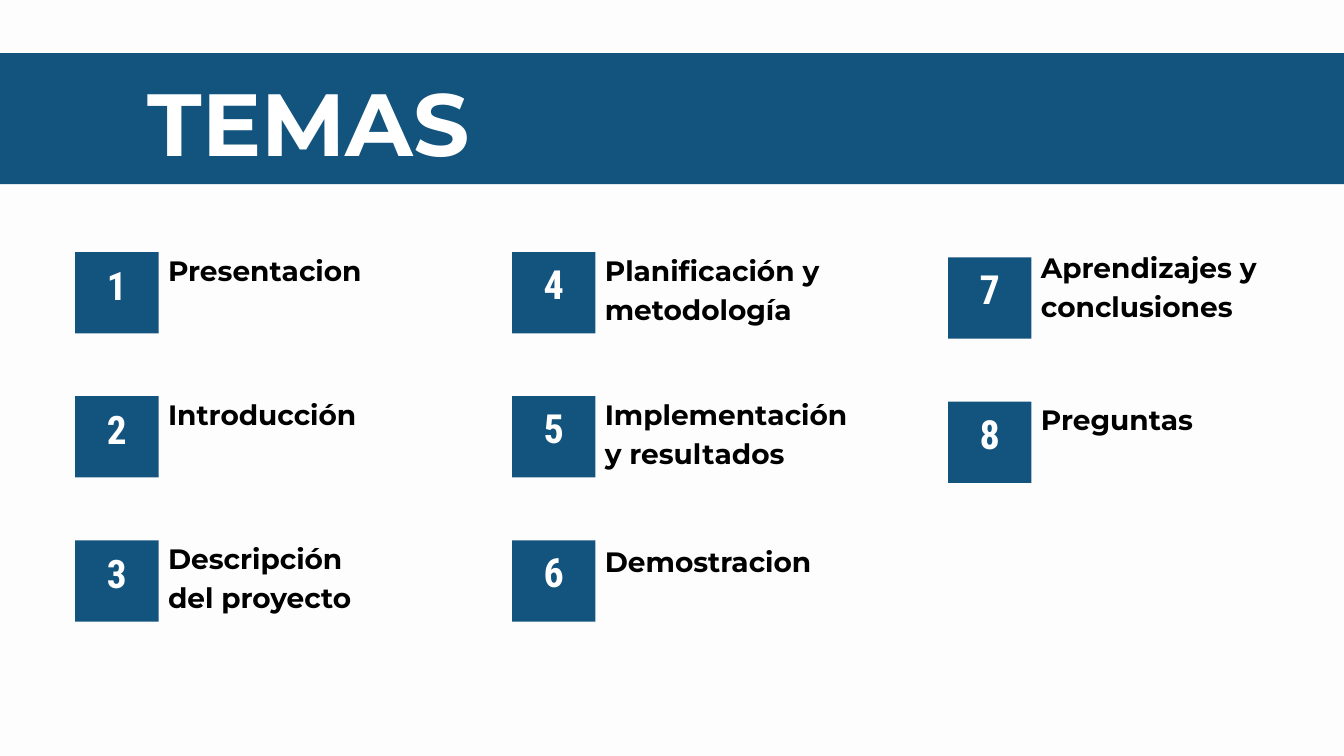
from dataclasses import dataclass

from pptx import Presentation
from pptx.dml.color import RGBColor
from pptx.enum.shapes import MSO_SHAPE
from pptx.enum.text import MSO_ANCHOR, MSO_AUTO_SIZE, PP_ALIGN
from pptx.util import Inches, Pt

RECTANGLE = MSO_SHAPE.RECTANGLE
TOP, MIDDLE = MSO_ANCHOR.TOP, MSO_ANCHOR.MIDDLE
LEFT, CENTER = PP_ALIGN.LEFT, PP_ALIGN.CENTER
NO_AUTOFIT = MSO_AUTO_SIZE.NONE


@dataclass(frozen=True)
class Theme:
    paper: RGBColor = RGBColor(0xFD, 0xFD, 0xFD)
    blue: RGBColor = RGBColor(0x13, 0x54, 0x7E)
    white: RGBColor = RGBColor(0xFF, 0xFF, 0xFF)
    black: RGBColor = RGBColor(0, 0, 0)
    heading_font: str = "Montserrat"
    number_font: str = "Roboto Condensed"
    title_size: float = 94.5
    label_size: float = 30
    label_spacing: float = 41.9


theme = Theme()


def write_text(shape, text, *, size, spacing, color, font=theme.heading_font,
               align=LEFT, anchor=TOP, inset=0):
    frame = shape.text_frame
    frame.word_wrap = True
    frame.auto_size = NO_AUTOFIT
    frame.vertical_anchor = anchor
    frame.margin_left = frame.margin_right = Inches(inset)
    frame.margin_top = frame.margin_bottom = Inches(inset)
    frame.text = text
    paragraph = frame.paragraphs[0]
    paragraph.alignment = align
    paragraph.line_spacing = Pt(spacing)
    paragraph.space_before = Pt(0)
    run_font = paragraph.runs[0].font
    run_font.name = font
    run_font.size = Pt(size)
    run_font.bold = True
    run_font.color.rgb = color


def add_block(left, top, width, height):
    block = slide.shapes.add_shape(
        RECTANGLE, Inches(left), Inches(top), Inches(width), Inches(height))
    block.shadow.inherit = False
    block.fill.solid()
    block.fill.fore_color.rgb = theme.blue
    block.line.fill.background()
    return block


deck = Presentation()
deck.slide_width, deck.slide_height = Inches(20), Inches(11.25)
slide = deck.slides.add_slide(deck.slide_layouts[5])
slide.background.fill.solid()
slide.background.fill.fore_color.rgb = theme.paper

heading = slide.shapes.title
heading.left, heading.top = Inches(2.2), Inches(0.75)
heading.width, heading.height = Inches(8.47), Inches(1.83)
write_text(heading, "TEMAS", size=theme.title_size, spacing=132.3, color=theme.white)
band = add_block(0, 0.79, 20, 1.95)
heading.element.addprevious(band.element)

TILE_WIDTH, TILE_HEIGHT = 1.24, 1.21
ROW_PITCH = 2.145
LABEL_OFFSET = 1.38

columns = [
    (1.12, 3.75, 42, 1.56, [
        ("Presentacion", 3.69, 3.38, 0.56),
        ("Introducción", 5.83, 3.38, 0.56),
        ("Descripción del proyecto", 7.98, 3.38, 1.15)]),
    (7.62, 3.75, 43, 1.6, [
        ("Planificación y metodología", 3.69, 3.38, 1.15),
        ("Implementación y resultados", 5.83, 3.72, 1.15),
        ("Demostracion", 8.02, 3.38, 0.56)]),
    (14.11, 3.83, 43, 1.6, [
        ("Aprendizajes y conclusiones", 3.65, 3.38, 1.15),
        ("Preguntas", 5.91, 3.38, 0.56)]),
]

number = 0
for left, first_top, number_size, number_height, topics in columns:
    for row, (topic, label_top, label_width, label_height) in enumerate(topics):
        number += 1
        tile_top = first_top + row * ROW_PITCH
        add_block(left, tile_top, TILE_WIDTH, TILE_HEIGHT)

        numeral = slide.shapes.add_textbox(
            Inches(left), Inches(tile_top + TILE_HEIGHT - number_height),
            Inches(TILE_WIDTH), Inches(number_height))
        write_text(numeral, str(number), size=number_size, spacing=number_size * 1.4,
                   color=theme.white, font=theme.number_font, align=CENTER,
                   anchor=MIDDLE, inset=0.06)

        label = slide.shapes.add_textbox(
            Inches(left + LABEL_OFFSET), Inches(label_top),
            Inches(label_width), Inches(label_height))
        write_text(label, topic, size=theme.label_size,
                   spacing=theme.label_spacing, color=theme.black)

deck.save("out.pptx")
